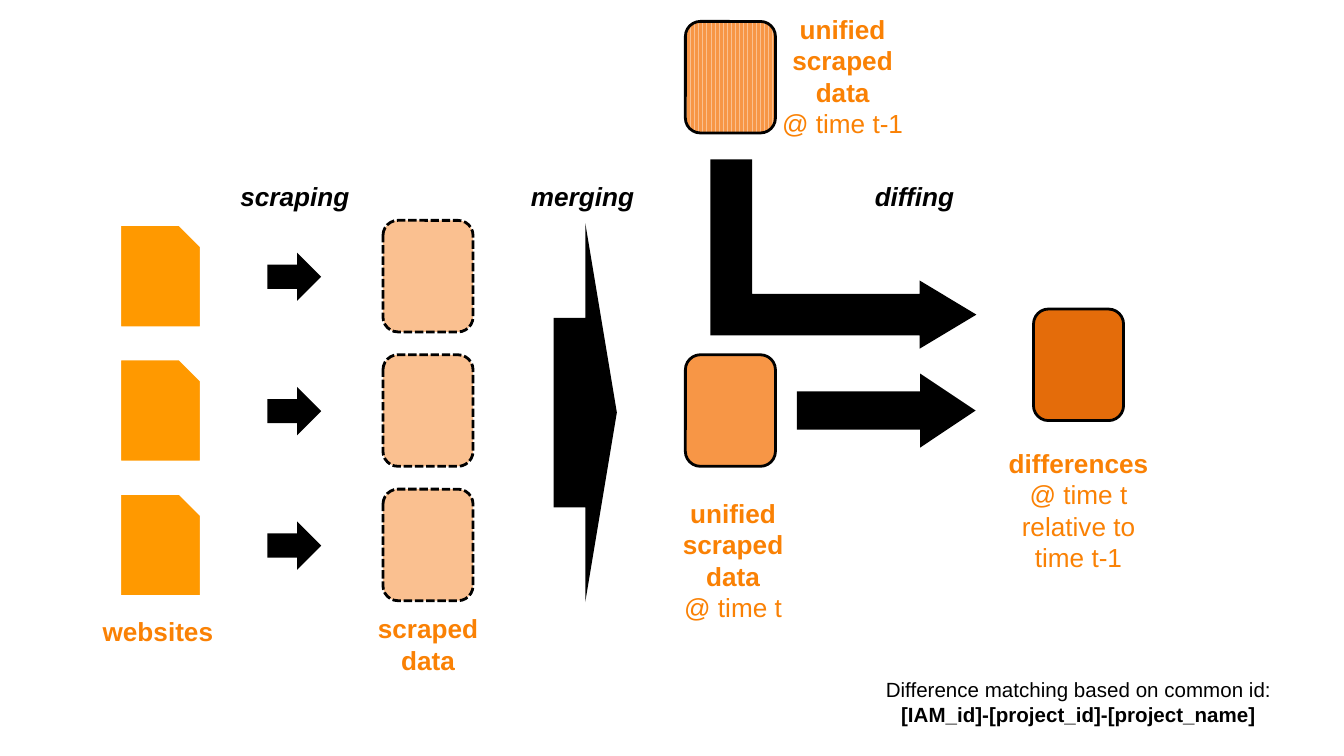
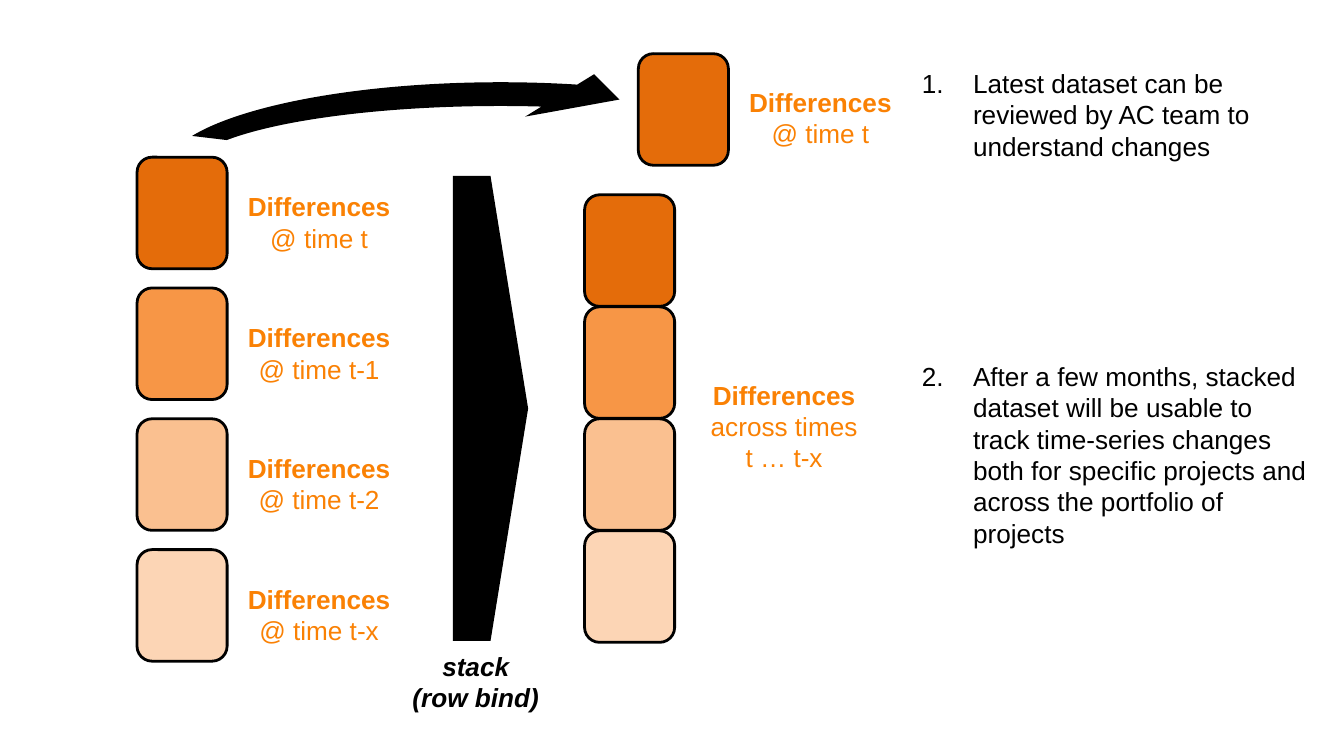
import pptx
import pptx.util
import pptx.dml.color
import pptx.enum.dml
import pptx.enum.shapes
import pptx.enum.text
import pptx.oxml
import pptx.oxml.ns

Inches = pptx.util.Inches
Pt = pptx.util.Pt
SHAPE = pptx.enum.shapes.MSO_SHAPE

COLORS = {
    "label": "FA8104",
    "website": "FF9900",
    "black": "000000",
    "white": "FFFFFF",
    "dark": "E46C0A",
    "medium": "F79646",
    "light": "FAC090",
    "pale": "FCD5B5",
}
FONT = "Arial"
BOX_W, BOX_H = 0.67, 0.83
LABEL_H = 0.54


def rgb(name):
    return pptx.dml.color.RGBColor.from_string(COLORS[name])


def place(sp, x, y, w, h):
    sp.left, sp.top, sp.width, sp.height = map(Inches, (x, y, w, h))


# Shapes
def add_shape(s, kind, x, y, w, h, fill, line=None, line_pt=1.5, adj=()):
    sp = s.shapes.add_shape(kind, Inches(x), Inches(y), Inches(w), Inches(h))
    sp.shadow.inherit = False
    sp.fill.solid()
    sp.fill.fore_color.rgb = rgb(fill)
    if line:
        sp.line.color.rgb = rgb(line)
        sp.line.width = Pt(line_pt)
    else:
        sp.line.fill.background()
    for i, value in enumerate(adj):
        sp.adjustments[i] = value
    return sp


def add_website(s, x, y):
    add_shape(s, SHAPE.SNIP_1_RECTANGLE, x, y, BOX_W, BOX_H, "website",
              "white", 6, [0.27])


def add_dataset(s, x, y, fill, dashed=False):
    sp = add_shape(s, SHAPE.ROUNDED_RECTANGLE, x, y, BOX_W, BOX_H, fill, "black")
    if dashed:
        sp.line.dash_style = pptx.enum.dml.MSO_LINE.SQUARE_DOT
    return sp


def add_arrow(s, x, y, w, h, adj=(), kind=SHAPE.RIGHT_ARROW):
    return add_shape(s, kind, x, y, w, h, "black", adj=adj)


# Text
def set_frame(tf, inset=0.1, wrap=True, grow=False):
    sizing = pptx.enum.text.MSO_AUTO_SIZE
    tf.auto_size = sizing.SHAPE_TO_FIT_TEXT if grow else sizing.NONE
    tf.word_wrap = wrap
    tf.vertical_anchor = pptx.enum.text.MSO_ANCHOR.TOP
    tf.margin_left = tf.margin_right = Inches(0.1)
    tf.margin_top = tf.margin_bottom = Inches(inset)


def set_font(p, color, size=14, bold=False, italic=False):
    f = p.font
    f.name, f.size, f.bold, f.italic = FONT, Pt(size), bold, italic
    f.color.rgb = rgb(color)


def write_lines(tf, lines, color, size=14, italic=False):
    """Write centred paragraphs from (text, bold) pairs."""
    for i, (text, bold) in enumerate(lines):
        p = tf.add_paragraph() if i else tf.paragraphs[0]
        p.alignment = pptx.enum.text.PP_ALIGN.CENTER
        set_font(p, color, size, bold, italic)
        p.add_run().text = text


def add_text(s, x, y, w, h, lines, color, size=14, italic=False, **frame):
    sp = s.shapes.add_textbox(Inches(x), Inches(y), Inches(w), Inches(h))
    set_frame(sp.text_frame, **frame)
    write_lines(sp.text_frame, lines, color, size, italic)


def add_label(s, x, y, w, name, detail=None, h=LABEL_H):
    lines = [(name, True)] + ([(detail, False)] if detail else [])
    add_text(s, x, y, w, h, lines, "label")


def add_step(s, x, y, w, *lines):
    add_text(s, x, y, w, LABEL_H, [(t, True) for t in lines], "black", italic=True)


def fill_title(s, x, y, w, text):
    sp = s.shapes.title
    place(sp, x, y, w, LABEL_H)
    set_frame(sp.text_frame)
    write_lines(sp.text_frame, [(text, True)], "label")


def fill_numbered(sp, x, y, w, h, number, text):
    place(sp, x, y, w, h)
    set_frame(sp.text_frame, inset=0.05, grow=True)
    p = sp.text_frame.paragraphs[0]
    p_pr = p._p.get_or_add_pPr()
    p_pr.set("marL", str(Inches(0.38)))
    p_pr.set("indent", str(-Inches(0.38)))
    ns = pptx.oxml.ns.nsdecls("a")
    for xml in (
        f'<a:buClr {ns}><a:srgbClr val="{COLORS["black"]}"/></a:buClr>',
        f'<a:buFont {ns} typeface="+mj-lt"/>',
        f'<a:buAutoNum {ns} type="arabicPeriod" startAt="{number}"/>',
    ):
        p_pr.append(pptx.oxml.parse_xml(xml))
    p.space_before = Pt(0)
    set_font(p, "black")
    p.add_run().text = text


# Slides
def build_pipeline(prs):
    s = prs.slides.add_slide(prs.slide_layouts.get_by_name("Title Only"))

    # Websites scraped into datasets
    for row in range(3):
        y = 1.64 + row
        add_website(s, 0.86, y)
        add_arrow(s, 1.99, y + 0.24, 0.4, 0.36)
        add_dataset(s, 2.85, y, "light", dashed=True)
    fill_title(s, 0.64, 4.48, 1.07, "websites")
    add_label(s, 2.65, 4.46, 1.07, "scraped data")

    # Step names
    for x, step in ((1.66, "scraping"), (3.8, "merging"), (6.27, "diffing")):
        add_step(s, x, 1.24, 1.07, step)

    # Merged data, now and before
    add_arrow(s, 4.12, 1.66, 0.47, 2.82)
    add_dataset(s, 5.1, 2.64, "medium")
    add_label(s, 4.92, 3.6, 1.07, "unified scraped data", "@ time t")
    previous = add_dataset(s, 5.1, 0.16, "medium")
    previous.fill.patterned()
    previous.fill.pattern = pptx.enum.dml.MSO_PATTERN.DARK_VERTICAL
    previous.fill.fore_color.rgb = rgb("medium")
    previous.fill.back_color.rgb = rgb("light")
    add_label(s, 5.66, 0, 1.22, "unified scraped data", "@ time t-1")

    # Differences
    bent = add_arrow(s, 5.57, 0.9, 1.41, 1.98, [0.22, 0.18, 0.3],
                     SHAPE.BENT_UP_ARROW)
    bent.rotation = 90
    add_arrow(s, 5.93, 2.78, 1.33, 0.55, [0.52, 0.75])
    add_dataset(s, 7.69, 2.3, "dark")
    add_label(s, 7.34, 3.23, 1.37, "differences", "@ time t relative to time t-1")

    # Matching note
    add_text(s, 6.48, 4.99, 3.09, 0.47,
             [("Difference matching based on common id:", False),
              ("[IAM_id]-[project_id]-[project_name]", True)],
             "black", size=11, inset=0.05, wrap=False, grow=True)


def build_stacking(prs):
    s = prs.slides.add_slide(prs.slide_layouts.get_by_name("Two Content"))
    title = s.shapes.title.element
    title.getparent().remove(title)

    # Separate differences and their stack
    periods = (("dark", "t"), ("medium", "t-1"), ("light", "t-2"), ("pale", "t-x"))
    gap = (4.09 - 1.17) / (len(periods) - 1)
    for i, (fill, time) in enumerate(periods):
        y = 1.17 + i * gap
        add_dataset(s, 1.02, y, fill)
        add_label(s, 1.69, y + 0.15, 1.37, "Differences", f"@ time {time}")
        add_dataset(s, 4.35, 1.45 + i * 2.5 / 3, fill)
    add_arrow(s, 3.37, 1.31, 0.56, 3.46, [1, 0.5])
    add_step(s, 2.93, 4.74, 1.22, "stack", "(row bind)")
    add_label(s, 5.15, 2.72, 1.37, "Differences", "across times t … t-x", BOX_H)

    # Latest differences
    add_dataset(s, 4.75, 0.4, "dark")
    add_label(s, 5.42, 0.54, 1.37, "Differences", "@ time t")
    add_arrow(s, 1, 0.4, 5.45, 1.77, [0.1, 12.62, 184.43, 112.07, 0.17],
              SHAPE.CIRCULAR_ARROW)

    # Uses of the data
    latest, stacked = s.placeholders[1], s.placeholders[2]
    fill_numbered(latest, 6.76, 0.45, 3.09, 0.81, 1,
                  "Latest dataset can be reviewed by AC team to understand changes")
    fill_numbered(stacked, 6.76, 2.63, 3.09, 1.51, 2,
                  "After a few months, stacked dataset will be usable to track "
                  "time-series changes both for specific projects and across "
                  "the portfolio of projects")


def main():
    prs = pptx.Presentation()
    prs.slide_width = Inches(10)
    prs.slide_height = Inches(10 * 9 / 16)
    build_pipeline(prs)
    build_stacking(prs)
    prs.save("out.pptx")


if __name__ == "__main__":
    main()
